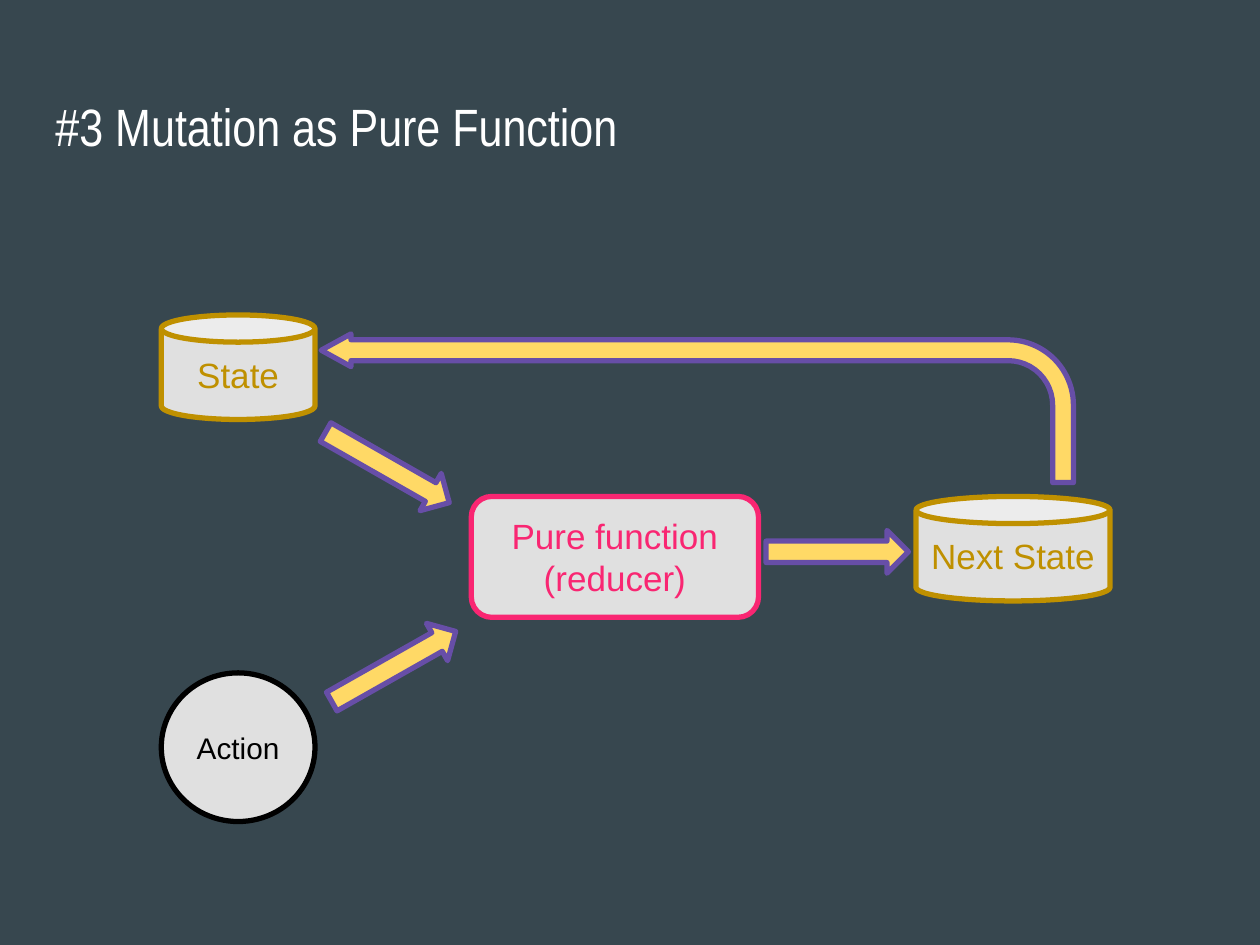
import pptx
import pptx.dml.color
import pptx.enum.shapes
import pptx.enum.text
import pptx.util

RGBColor = pptx.dml.color.RGBColor
Shape = pptx.enum.shapes.MSO_SHAPE
Anchor = pptx.enum.text.MSO_ANCHOR
Align = pptx.enum.text.PP_ALIGN

SLATE = RGBColor(0x37, 0x47, 0x4F)
WHITE = RGBColor(0xFF, 0xFF, 0xFF)
BLACK = RGBColor(0x00, 0x00, 0x00)
GREY = RGBColor(0xE0, 0xE0, 0xE0)
PINK = RGBColor(0xF9, 0x26, 0x72)
GOLD = RGBColor(0xBF, 0x90, 0x00)
YELLOW = RGBColor(0xFF, 0xD9, 0x66)
PURPLE = RGBColor(0x67, 0x4E, 0xA7)

COLUMNS, ROWS = 100, 75
TITLE_ONLY = 5


class DiagramSlide:
    title_font = "Arial Narrow"
    label_font = "Arial"
    line_width = pptx.util.Pt(3)
    inset = pptx.util.Inches(0.1)

    def __init__(self, presentation):
        self.column = presentation.slide_width / COLUMNS
        self.row = presentation.slide_height / ROWS
        self.slide = presentation.slides.add_slide(presentation.slide_layouts[TITLE_ONLY])
        self.slide.background.fill.solid()
        self.slide.background.fill.fore_color.rgb = SLATE

    def place(self, left, top, width, height):
        return (round(left * self.column), round(top * self.row),
                round(width * self.column), round(height * self.row))

    def add_text(self, shape, lines, font, size, color, align, anchor):
        frame = shape.text_frame
        frame.word_wrap = True
        frame.auto_size = pptx.enum.text.MSO_AUTO_SIZE.NONE
        frame.vertical_anchor = anchor
        frame.margin_left = frame.margin_right = self.inset
        frame.margin_top = frame.margin_bottom = self.inset
        paragraph = frame.paragraphs[0]
        paragraph.alignment = align
        for index, line in enumerate(lines):
            if index:
                paragraph.add_line_break()
            run = paragraph.add_run()
            run.text = line
            run.font.name = font
            run.font.size = pptx.util.Pt(size)
            run.font.color.rgb = color

    def title(self, text, *grid):
        shape = self.slide.shapes.title
        shape.left, shape.top, shape.width, shape.height = self.place(*grid)
        self.add_text(shape, [text], self.title_font, 30, WHITE, Align.LEFT, Anchor.TOP)

    def outlined(self, kind, grid, fill, line, adjustments):
        shape = self.slide.shapes.add_shape(kind, *self.place(*grid))
        shape.shadow.inherit = False
        shape.fill.solid()
        shape.fill.fore_color.rgb = fill
        shape.line.color.rgb = line
        shape.line.width = self.line_width
        for index, value in enumerate(adjustments):
            shape.adjustments[index] = value
        return shape

    def node(self, kind, grid, lines, color, size=20, adjustments=()):
        shape = self.outlined(kind, grid, GREY, color, adjustments)
        self.add_text(shape, lines, self.label_font, size, color, Align.CENTER, Anchor.MIDDLE)

    def store(self, label, left, top, width):
        self.node(Shape.CAN, (left, top, width, 8.3), [label], GOLD, adjustments=[0.26])

    def arrow(self, left, top, rotation=0):
        shape = self.outlined(Shape.RIGHT_ARROW, (left, top, 11.3, 3.4),
                              YELLOW, PURPLE, [0.5, 0.5])
        shape.rotation = rotation

    def return_arrow(self, *grid):
        shape = self.outlined(Shape.BENT_ARROW, grid, YELLOW, PURPLE,
                              [0.14, 0.11, 0.2, 0.44])
        shape._element.spPr.xfrm.set("flipH", "1")


def main():
    presentation = pptx.Presentation()
    presentation.slide_width = pptx.util.Inches(10)
    presentation.slide_height = pptx.util.Inches(7.5)

    diagram = DiagramSlide(presentation)
    diagram.title("#3 Mutation as Pure Function", 3.4, 6.5, 93.2, 8.3)
    diagram.node(Shape.ROUNDED_RECTANGLE, (37.4, 39.4, 22.8, 9.6),
                 ["Pure function", "(reducer)"], PINK, adjustments=[0.17])
    diagram.store("State", 12.8, 25, 12.2)
    diagram.node(Shape.OVAL, (12.8, 53.4, 12.2, 11.8), ["Action"], BLACK, size=17)
    diagram.arrow(25.1, 35.4, rotation=29.7)
    diagram.arrow(25.6, 51.2, rotation=330.5)
    diagram.store("Next State", 72.7, 39.4, 15.4)
    diagram.arrow(60.8, 42.1)
    diagram.return_arrow(25.5, 26.5, 59.7, 11.8)

    presentation.save("out.pptx")


if __name__ == "__main__":
    main()
